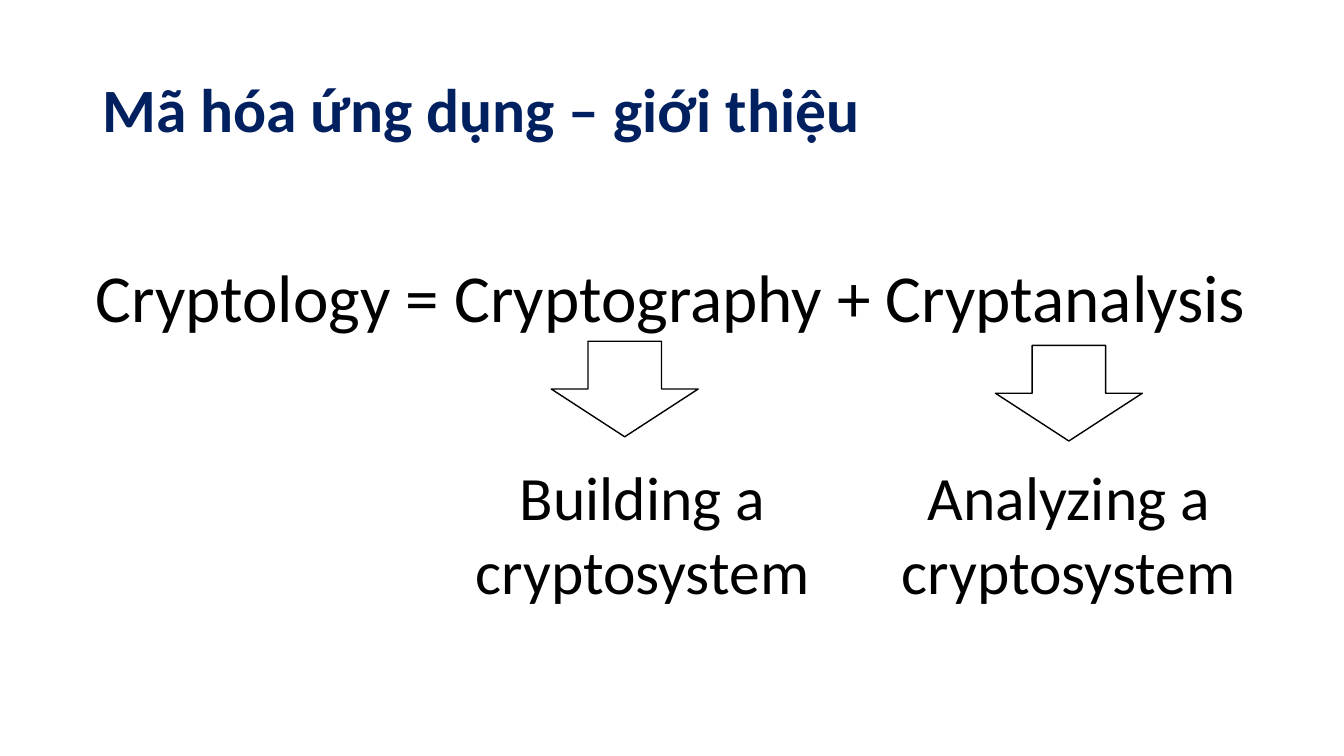
from dataclasses import dataclass

from pptx import Presentation
from pptx.dml.color import RGBColor
from pptx.enum.shapes import MSO_SHAPE
from pptx.enum.text import MSO_ANCHOR, PP_ALIGN
from pptx.slide import Slide
from pptx.util import Emu, Pt

EMU_PER_PX = 9525
SLIDE_WIDTH, SLIDE_HEIGHT = 1280, 720
FONT = "Calibri"
NAVY = RGBColor(0x00, 0x20, 0x60)
BLACK = RGBColor(0x00, 0x00, 0x00)
WHITE = RGBColor(0xFF, 0xFF, 0xFF)


def px(length: int) -> Emu:
    return Emu(length * EMU_PER_PX)


@dataclass(frozen=True)
class Label:
    text: str
    left: int
    top: int
    width: int
    height: int
    size: int = 44
    color: RGBColor = BLACK
    bold: bool = False
    align: PP_ALIGN = PP_ALIGN.CENTER
    anchor: MSO_ANCHOR = MSO_ANCHOR.TOP
    line_spacing: float = 1.0


@dataclass(frozen=True)
class Arrow:
    left: int
    top: int
    width: int = 140
    height: int = 91


LABELS = (
    # Title
    Label("Mã hóa ứng dụng – giới thiệu", 88, 38, 1104, 139, color=NAVY, bold=True,
          align=PP_ALIGN.LEFT, anchor=MSO_ANCHOR.MIDDLE, line_spacing=0.9),
    # Equation
    Label("Cryptology = Cryptography + Cryptanalysis", 63, 238, 1152, 87, size=48),
    # Meaning of each term
    Label("Building a cryptosystem", 409, 432, 406, 152),
    Label("Analyzing a cryptosystem", 815, 432, 406, 152),
)
ARROWS = (Arrow(525, 325), Arrow(948, 329))


def add_label(slide: Slide, label: Label) -> None:
    shape = slide.shapes.add_textbox(
        px(label.left), px(label.top), px(label.width), px(label.height))
    frame = shape.text_frame
    frame.word_wrap = True
    frame.vertical_anchor = label.anchor
    paragraph = frame.paragraphs[0]
    paragraph.alignment = label.align
    paragraph.line_spacing = label.line_spacing
    run = paragraph.add_run()
    run.text = label.text
    run.font.name = FONT
    run.font.size = Pt(label.size)
    run.font.bold = label.bold
    run.font.color.rgb = label.color


def add_arrow(slide: Slide, arrow: Arrow) -> None:
    shape = slide.shapes.add_shape(
        MSO_SHAPE.DOWN_ARROW,
        px(arrow.left), px(arrow.top), px(arrow.width), px(arrow.height))
    shape.shadow.inherit = False
    shape.fill.solid()
    shape.fill.fore_color.rgb = WHITE
    shape.line.color.rgb = BLACK
    shape.line.width = Pt(1)


def main() -> None:
    presentation = Presentation()
    presentation.slide_width = px(SLIDE_WIDTH)
    presentation.slide_height = px(SLIDE_HEIGHT)
    slide = presentation.slides.add_slide(presentation.slide_layouts[6])
    for label in LABELS:
        add_label(slide, label)
    for arrow in ARROWS:
        add_arrow(slide, arrow)
    presentation.save("out.pptx")


if __name__ == "__main__":
    main()
